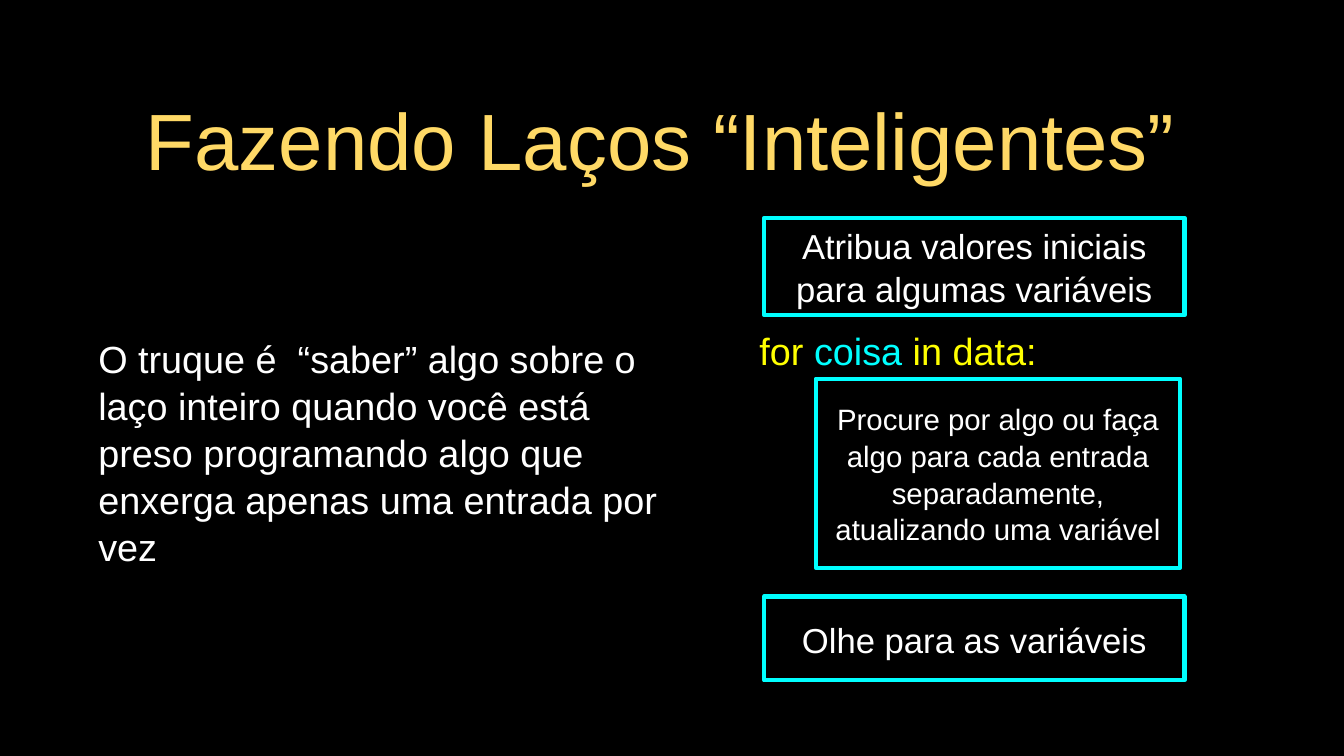
import pptx
import pptx.dml.color
import pptx.enum.shapes
import pptx.enum.text
import pptx.util

COLORS = {
    "background": "000000",
    "title": "FFD966",
    "text": "FFFFFF",
    "frame": "00FFFF",
    "keyword": "FFFF00",
    "variable": "00FFFF",
}
CENTER = pptx.enum.text.PP_ALIGN.CENTER
LEFT = pptx.enum.text.PP_ALIGN.LEFT


def color(name):
    return pptx.dml.color.RGBColor.from_string(COLORS[name])


deck = pptx.Presentation()
deck.slide_width = pptx.util.Inches(17.78)
deck.slide_height = pptx.util.Inches(10)
column = deck.slide_width / 100
row = deck.slide_height / 100

page = deck.slides.add_slide(deck.slide_layouts[6])
page.background.fill.solid()
page.background.fill.fore_color.rgb = color("background")


def add_text(*spans, left, top, width, height, size, align=CENTER, inset=0, framed=False, spacing=1.04):
    place = [int(left * column), int(top * row), int(width * column), int(height * row)]
    if framed:
        box = page.shapes.add_shape(pptx.enum.shapes.MSO_SHAPE.RECTANGLE, *place)
        box.shadow.inherit = False
        box.fill.background()
        box.line.color.rgb = color("frame")
        box.line.width = pptx.util.Pt(4)
    else:
        box = page.shapes.add_textbox(*place)
    frame = box.text_frame
    frame.word_wrap = True
    frame.vertical_anchor = pptx.enum.text.MSO_ANCHOR.MIDDLE
    frame.margin_left = frame.margin_right = pptx.util.Inches(inset)
    frame.margin_top = frame.margin_bottom = pptx.util.Inches(inset)
    para = frame.paragraphs[0]
    para.alignment = align
    para.line_spacing = spacing
    for text, shade in spans:
        span = para.add_run()
        span.text = text
        span.font.name = "Arial"
        span.font.size = pptx.util.Pt(size)
        span.font.color.rgb = color(shade)


add_text(("Fazendo Laços “Inteligentes” ", "title"),
         left=7.09, top=8.9, width=85.71, height=18.8, size=76, inset=0.04, spacing=1)

add_text(("O truque é  “saber” algo sobre o laço inteiro quando você está preso "
          "programando algo que enxerga apenas uma entrada por vez", "text"),
         left=7.09, top=28.5, width=42.13, height=62.4, size=36, align=LEFT, inset=0.04)

add_text(("for ", "keyword"), ("coisa ", "variable"), ("in data:", "keyword"),
         left=56.36, top=42.8, width=20.92, height=6.8, size=36)

steps = [
    ("Atribua valores iniciais para algumas variáveis", 56.86, 28.8, 31.27, 12.9, 33),
    ("Procure por algo ou faça algo para cada entrada separadamente, atualizando uma variável",
     60.69, 50.1, 27.11, 25, 28),
    ("Olhe para as variáveis", 56.86, 78.9, 31.27, 11.1, 33),
]
for text, left, top, width, height, size in steps:
    add_text((text, "text"), left=left, top=top, width=width, height=height, size=size, framed=True)

deck.save("out.pptx")
